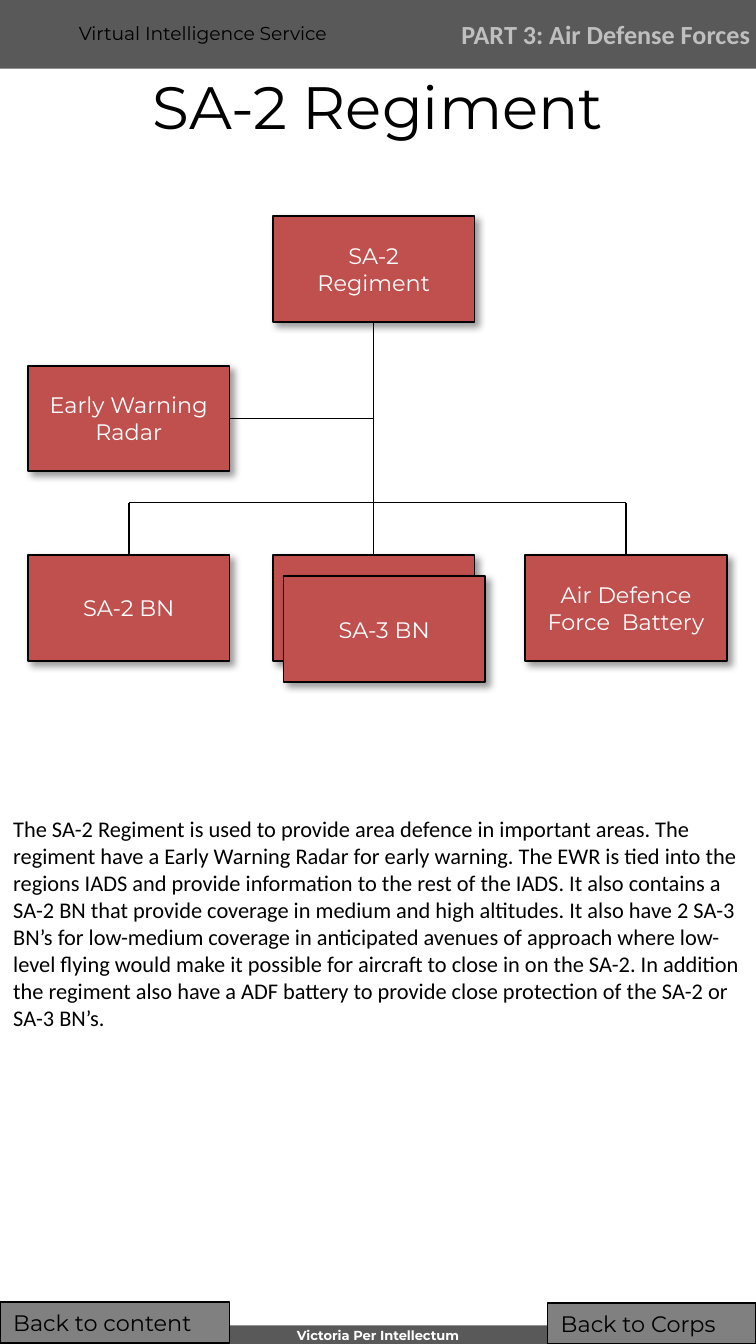
from lxml import etree
from pptx import Presentation
from pptx.dml.color import RGBColor
from pptx.enum.shapes import MSO_CONNECTOR, MSO_SHAPE
from pptx.enum.text import MSO_ANCHOR, MSO_AUTO_SIZE, PP_ALIGN
from pptx.oxml import parse_xml
from pptx.oxml.ns import nsdecls, qn
from pptx.util import Cm, Pt

BLACK = RGBColor(0x00, 0x00, 0x00)
WHITE = RGBColor(0xFF, 0xFF, 0xFF)
DARK_GREY = RGBColor(0x59, 0x59, 0x59)
MID_GREY = RGBColor(0x80, 0x80, 0x80)
LIGHT_GREY = RGBColor(0xBF, 0xBF, 0xBF)
RED = RGBColor(0xC0, 0x50, 0x4D)

SLIDE_W, SLIDE_H = 14.29, 25.4
HEADER_H = 1.3
UNIT_W, UNIT_H = 3.81, 2.0

BODY = (
    "The SA-2 Regiment is used to provide area defence in important areas. "
    "The regiment have a Early Warning Radar for early warning. The EWR is tied "
    "into the regions IADS and provide information to the rest of the IADS. It "
    "also contains a SA-2 BN that provide coverage in medium and high altitudes. "
    "It also have 2 SA-3 BN’s for low-medium coverage in anticipated avenues of "
    "approach where low-level flying would make it possible for aircraft to close "
    "in on the SA-2. In addition the regiment also have a ADF battery to provide "
    "close protection of the SA-2 or SA-3 BN’s."
)


def set_text(sp, text, size, color, font="Montserrat", bold=False,
             align=PP_ALIGN.LEFT, anchor=MSO_ANCHOR.TOP, grow=False):
    tf = sp.text_frame
    tf.text = text
    tf.word_wrap = True
    tf.vertical_anchor = anchor
    tf.auto_size = MSO_AUTO_SIZE.SHAPE_TO_FIT_TEXT if grow else MSO_AUTO_SIZE.NONE
    for p in tf.paragraphs:
        p.alignment = align
        for r in p.runs:
            r.font.name = font
            r.font.size = Pt(size)
            r.font.bold = bold
            r.font.color.rgb = color
    return tf


def add_text(slide, x, y, w, h, text, size, color, **style):
    sp = slide.shapes.add_textbox(Cm(x), Cm(y), Cm(w), Cm(h))
    return set_text(sp, text, size, color, **style)


def add_rect(slide, x, y, w, h, fill, outlined=True):
    sp = slide.shapes.add_shape(MSO_SHAPE.RECTANGLE, Cm(x), Cm(y), Cm(w), Cm(h))
    sp.shadow.inherit = False
    sp.fill.solid()
    sp.fill.fore_color.rgb = fill
    if outlined:
        sp.line.color.rgb = BLACK
        sp.line.width = Pt(1)
    else:
        sp.line.fill.background()
    return sp


def add_line(slide, x1, y1, x2, y2):
    line = slide.shapes.add_connector(
        MSO_CONNECTOR.STRAIGHT, Cm(x1), Cm(y1), Cm(x2), Cm(y2))
    line.line.color.rgb = BLACK
    line.line.width = Pt(0.75)
    etree.SubElement(line._element.spPr, qn("a:effectLst"))


def add_unit(slide, x, y, text):
    sp = add_rect(slide, x, y, UNIT_W, UNIT_H, RED)
    sp._element.spPr.find(qn("a:effectLst")).append(parse_xml(
        f'<a:outerShdw {nsdecls("a")} blurRad="{Pt(4)}" dist="{Pt(3)}" '
        'dir="2700000" algn="tl" rotWithShape="0">'
        '<a:srgbClr val="000000"><a:alpha val="40000"/></a:srgbClr></a:outerShdw>'))
    set_text(sp, text, 12, WHITE, align=PP_ALIGN.CENTER, anchor=MSO_ANCHOR.MIDDLE)


def add_header(slide, x, y, w, h):
    add_rect(slide, x, y, w, h, DARK_GREY, outlined=False)
    add_text(slide, x + 1.24, y + 0.28, 9.8, 0.69, "Virtual Intelligence Service",
             10, BLACK, grow=True)
    add_text(slide, x + 8.28, y, 6.35, h, "PART 3: Air Defense Forces", 14,
             LIGHT_GREY, font="Calibri", bold=True, align=PP_ALIGN.CENTER,
             anchor=MSO_ANCHOR.MIDDLE)


def add_title(slide, x, y, w, h):
    title = slide.shapes.title
    title.left, title.top, title.width, title.height = Cm(x), Cm(y), Cm(w), Cm(h)
    set_text(title, "SA-2 Regiment", 32, BLACK, align=PP_ALIGN.CENTER,
             anchor=MSO_ANCHOR.MIDDLE)


def add_org_chart(slide, x, y, w, h):
    mid_x, right_x = x + 4.63, x + w - UNIT_W
    radar_y, bottom_y = y + 2.82, y + h - UNIT_H
    bus_y = bottom_y - 0.99
    half = UNIT_W / 2

    # Units; the second SA-3 battalion is stacked on the first
    units = [
        (mid_x, y, "SA-2\nRegiment"),
        (x, radar_y, "Early Warning Radar"),
        (x, bottom_y, "SA-2 BN"),
        (right_x, bottom_y, "Air Defence Force  Battery"),
        (mid_x, bottom_y, "SA-3 BN"),
        (mid_x + 0.2, bottom_y + 0.4, "SA-3 BN"),
    ]
    for unit in units:
        add_unit(slide, *unit)

    # Trunk, radar branch, bus and outer drops
    trunk_x = mid_x + half
    radar_mid = radar_y + UNIT_H / 2
    add_line(slide, trunk_x, y + UNIT_H, trunk_x, bottom_y)
    add_line(slide, x + UNIT_W, radar_mid, trunk_x, radar_mid)
    add_line(slide, x + half, bus_y, right_x + half, bus_y)
    for drop_x in (x + half, right_x + half):
        add_line(slide, drop_x, bus_y, drop_x, bottom_y)


def add_footer(slide, x, y, w, h):
    # Strip with the motto
    strip_h = 0.35
    strip_y = y + h - strip_h
    add_rect(slide, x, strip_y, w, strip_h, DARK_GREY, outlined=False)
    tf = add_text(slide, x, strip_y + 0.03, w, 0.3, "Victoria Per Intellectum",
                  7, WHITE, bold=True, align=PP_ALIGN.CENTER, grow=True)
    tf.margin_left = tf.margin_right = tf.margin_top = tf.margin_bottom = 0

    # Navigation buttons in the corners
    left_w, right_w = 4.34, 3.94
    for bx, by, bw, text in ((x, y, left_w, "Back to content"),
                             (x + w - right_w, y + 0.02, right_w, "Back to Corps")):
        sp = add_rect(slide, bx, by, bw, 0.77, MID_GREY)
        set_text(sp, text, 12, BLACK, grow=True)


def main():
    prs = Presentation()
    prs.slide_width, prs.slide_height = Cm(SLIDE_W), Cm(SLIDE_H)
    slide = prs.slides.add_slide(prs.slide_layouts[5])

    add_header(slide, 0, 0, SLIDE_W, HEADER_H)
    add_title(slide, 0, HEADER_H, SLIDE_W, 1.4)
    add_org_chart(slide, 0.53, 4.09, 13.21, 8.4)
    add_text(slide, 0, 15.29, SLIDE_W, 5.38, BODY, 12, BLACK, font="Calibri",
             grow=True)
    add_footer(slide, 0, 24.61, SLIDE_W, 0.79)

    prs.save("out.pptx")


if __name__ == "__main__":
    main()
